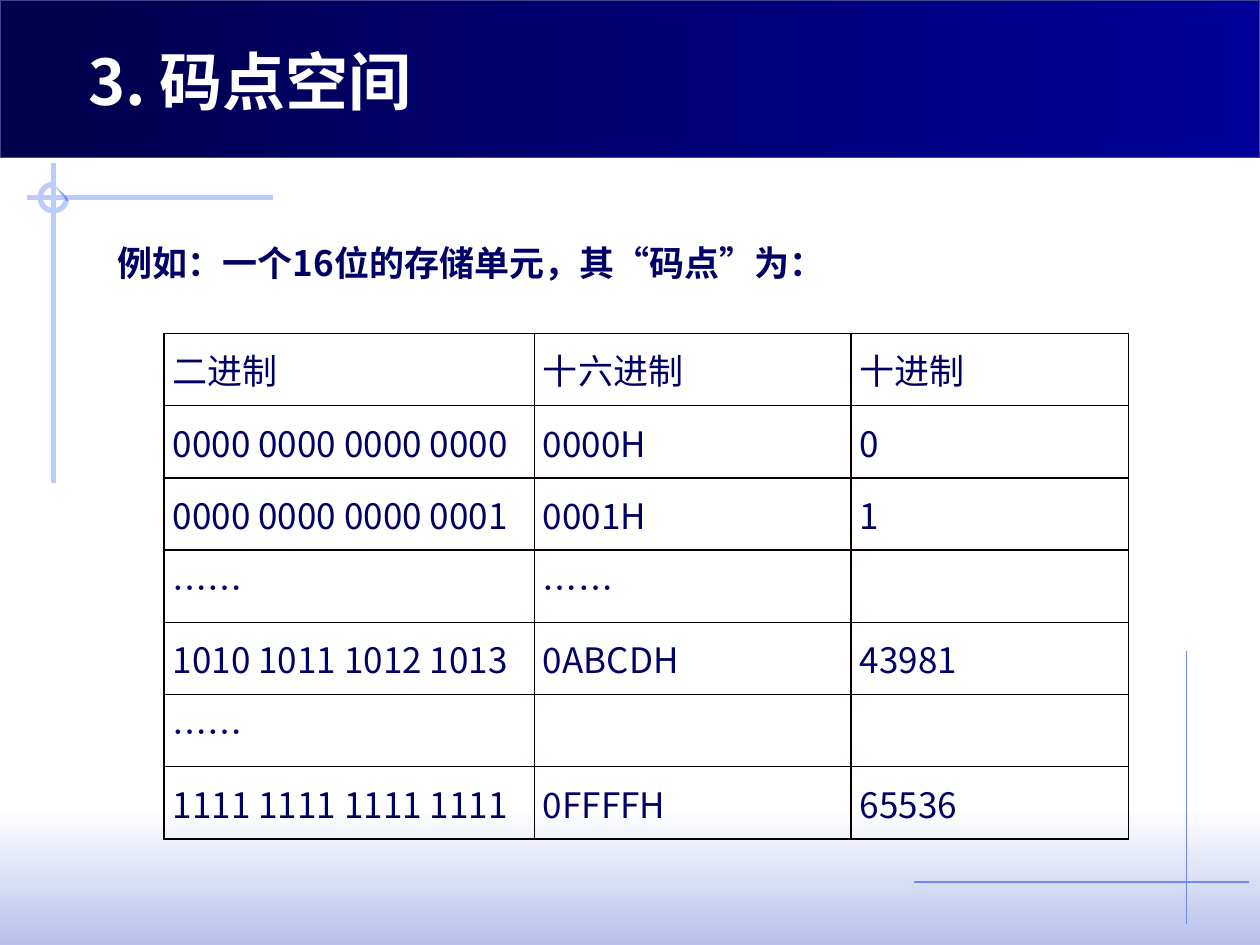
import pptx
import pptx.util
import pptx.dml.color
import pptx.enum.dml
import pptx.enum.shapes
import pptx.enum.text
import pptx.oxml
import pptx.oxml.ns

Pt = pptx.util.Pt
SHAPE = pptx.enum.shapes.MSO_SHAPE
ANCHOR = pptx.enum.text.MSO_ANCHOR
NS = pptx.oxml.ns.nsdecls("a")


def rgb(value):
    return pptx.dml.color.RGBColor.from_string(value)


class Deck:
    navy, pale, blue, border = "000066", "BBCBFD", "6F89F7", "080000"
    title_font, body_font = "Noto Sans CJK JP", "Noto Sans CJK SC"

    def __init__(self, prs):
        self.s = prs.slides.add_slide(prs.slide_layouts[6])

    def gradient(self, sp, colors, angle):
        sp.fill.gradient()
        sp.fill.gradient_angle = angle
        for stop, color in zip(sp.fill.gradient_stops, colors):
            stop.color.rgb = rgb(color)

    def stroke(self, sp, color, width):
        sp.line.color.rgb = rgb(color)
        sp.line.width = Pt(width)

    def band(self, x, y, w, h, colors, angle, line=None):
        sp = self.s.shapes.add_shape(SHAPE.RECTANGLE, Pt(x), Pt(y), Pt(w), Pt(h))
        sp.shadow.inherit = False
        self.gradient(sp, colors, angle)
        if line:
            self.stroke(sp, line, 0.75)
        else:
            sp.line.fill.background()

    def line(self, x1, y1, x2, y2, color, width):
        c = self.s.shapes.add_connector(
            pptx.enum.shapes.MSO_CONNECTOR.STRAIGHT, Pt(x1), Pt(y1), Pt(x2), Pt(y2))
        self.stroke(c, color, width)
        c._element.spPr.append(pptx.oxml.parse_xml(f"<a:effectLst {NS}/>"))

    def ring(self, cx, cy, radius):
        sp = self.s.shapes.add_shape(
            SHAPE.ARC, Pt(cx - radius), Pt(cy - radius), Pt(2 * radius), Pt(2 * radius))
        sp.shadow.inherit = False
        # Three quarters of a turn, from the right round to the top
        sp.adjustments[0], sp.adjustments[1] = 0, 162
        sp.fill.background()
        self.stroke(sp, self.pale, 3)

    def sliver(self, points, colors):
        pts = [(Pt(x), Pt(y)) for x, y in points]
        fb = self.s.shapes.build_freeform(*pts[0])
        fb.add_line_segments(pts[1:])
        sp = fb.convert_to_shape()
        sp.shadow.inherit = False
        self.gradient(sp, colors, 0)
        sp.line.fill.background()

    def style(self, p, size, font, color, bold=False):
        for r in p.runs:
            r.font.size, r.font.bold, r.font.name = Pt(size), bold, font
            r.font.color.rgb = rgb(color)
            r.font._element.find(pptx.oxml.ns.qn("a:latin")).addnext(
                pptx.oxml.parse_xml(f'<a:ea {NS} typeface="{font}"/>'))

    def text(self, x, y, w, h, text, size, font, color, spacing=1.0,
             anchor=ANCHOR.TOP):
        tf = self.s.shapes.add_textbox(Pt(x), Pt(y), Pt(w), Pt(h)).text_frame
        tf.word_wrap = True
        tf.vertical_anchor = anchor
        tf.text = text
        p = tf.paragraphs[0]
        p.line_spacing = spacing
        self.style(p, size, font, color, bold=True)

    def cell(self, cell, text):
        cell.margin_left = cell.margin_right = Pt(5)
        cell.margin_top = cell.margin_bottom = 0
        cell.vertical_anchor = ANCHOR.MIDDLE
        cell.text = text
        self.style(cell.text_frame.paragraphs[0], 20, self.body_font, self.navy)
        cell.fill.background()
        # Borders come before the fill in the cell properties
        for i, side in enumerate(("lnL", "lnR", "lnT", "lnB")):
            cell._tc.get_or_add_tcPr().insert(i, pptx.oxml.parse_xml(
                f'<a:{side} {NS} w="12700"><a:solidFill>'
                f'<a:srgbClr val="{self.border}"/></a:solidFill></a:{side}>'))

    def table(self, x, y, widths, row_height, rows):
        table = self.s.shapes.add_table(
            len(rows), len(widths), Pt(x), Pt(y),
            Pt(sum(widths)), Pt(row_height * len(rows))).table
        table.first_row = table.horz_banding = False
        for col, width in zip(table.columns, widths):
            col.width = Pt(width)
        for row, texts in zip(table.rows, rows):
            row.height = Pt(row_height)
            for cell, text in zip(row.cells, texts):
                self.cell(cell, text)


def main():
    prs = pptx.Presentation()
    prs.slide_width, prs.slide_height = Pt(720), Pt(540)
    d = Deck(prs)

    # Bottom glow and corner lines
    d.band(0, 462, 720, 78, ("FFFFFF", "B7C1EB"), 270)
    d.line(678, 372, 678, 528, d.blue, 0.75)
    d.line(522, 504, 714, 504, d.blue, 0.75)

    # Crosshair at the upper left
    cx, cy, radius = 30.6, 112.9, 7.6
    d.line(156, cy, 15.6, cy, d.pale, 3)
    d.line(cx, 93.4, cx, 276, d.pale, 3)
    d.ring(cx, cy, radius)
    d.sliver([(cx, cy - radius), (cx + radius, cy), (cx + radius + 0.4, cy + 2)],
             ("CFDBFD", d.blue))

    # Title bar
    d.band(0, 0, 720, 90, ("00004D", "000099"), 0, line="40458C")
    d.text(43.2, 20.5, 584.6, 51.2, "3. 码点空间", 36, d.title_font, "FFFFFF",
           anchor=ANCHOR.MIDDLE)

    # Lead-in sentence
    d.text(60, 122.4, 596, 49, "例如：一个16位的存储单元，其“码点”为：",
           20, d.body_font, d.navy, spacing=1.5)

    # Code point table
    d.table(93.8, 190.6, (211.5, 181, 158.7), 41.25, [
        ("二进制", "十六进制", "十进制"),
        ("0000 0000 0000 0000", "0000H", "0"),
        ("0000 0000 0000 0001", "0001H", "1"),
        ("……", "……", ""),
        ("1010 1011 1012 1013", "0ABCDH", "43981"),
        ("……", "", ""),
        ("1111 1111 1111 1111", "0FFFFH", "65536"),
    ])

    prs.save("out.pptx")


if __name__ == "__main__":
    main()
